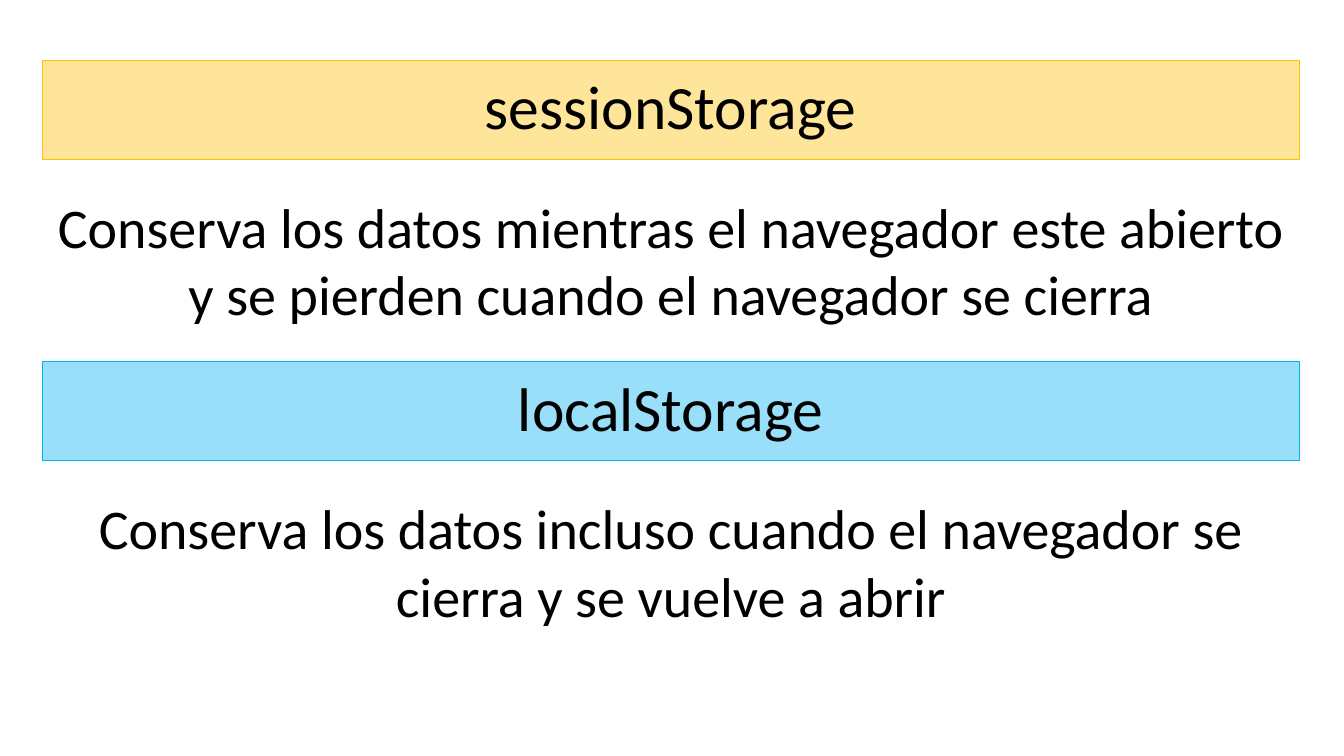
"""Builds a slide that compares sessionStorage and localStorage."""
from pptx import Presentation
from pptx.dml.color import RGBColor
from pptx.enum.shapes import MSO_SHAPE as Shape
from pptx.enum.text import MSO_ANCHOR as Anchor, MSO_AUTO_SIZE as AutoSize, PP_ALIGN as Align
from pptx.oxml.ns import qn
from pptx.util import Pt
from lxml.etree import SubElement

BLACK = RGBColor(0x00, 0x00, 0x00)
AMBER = RGBColor(0xFF, 0xC0, 0x00)
SKY = RGBColor(0x00, 0xB0, 0xF0)

LEFT, WIDTH = 30.24, 897.84
FIRST_TOP, SECTION_PITCH = 43.2, 215.28
BANNER_HEIGHT = 70.56
TEXT_OFFSET, TEXT_HEIGHT = 90.72, 104.4

SECTIONS = [
    ("sessionStorage", AMBER,
     "Conserva los datos mientras el navegador este abierto "
     "y se pierden cuando el navegador se cierra"),
    ("localStorage", SKY,
     "Conserva los datos incluso cuando el navegador se cierra "
     "y se vuelve a abrir"),
]


def write(box, text, size, font="Calibri", color=BLACK, align=Align.CENTER,
          anchor=Anchor.TOP, spacing=1.0):
    frame = box.text_frame
    frame.word_wrap = True
    frame.auto_size = AutoSize.NONE
    frame.vertical_anchor = anchor
    para = frame.paragraphs[0]
    para.alignment = align
    para.line_spacing = spacing
    span = para.add_run()
    span.text = text
    span.font.name = font
    span.font.size = Pt(size)
    span.font.color.rgb = color


class Painter:
    def __init__(self, page, banner_size=44, text_size=40, opacity=40):
        self.page = page
        self.banner_size = banner_size
        self.text_size = text_size
        self.opacity = opacity

    def title(self, text, top, color):
        box = self.page.shapes.title
        box.left, box.top = Pt(LEFT), Pt(top)
        box.width, box.height = Pt(WIDTH), Pt(BANNER_HEIGHT)
        self.style_banner(box, text, color)

    def banner(self, text, top, color):
        box = self.page.shapes.add_shape(
            Shape.RECTANGLE, Pt(LEFT), Pt(top), Pt(WIDTH), Pt(BANNER_HEIGHT))
        box.shadow.inherit = False
        self.style_banner(box, text, color)

    def style_banner(self, box, text, color):
        box.fill.solid()
        box.fill.fore_color.rgb = color
        tint = box._element.spPr.find(qn("a:solidFill"))[0]
        SubElement(tint, qn("a:alpha"), val=str(self.opacity * 1000))
        box.line.color.rgb = color
        box.line.width = Pt(0.75)
        write(box, text, self.banner_size, anchor=Anchor.MIDDLE, spacing=0.9)

    def description(self, text, top):
        box = self.page.shapes.add_textbox(
            Pt(LEFT), Pt(top), Pt(WIDTH), Pt(TEXT_HEIGHT))
        write(box, text, self.text_size)


def main():
    deck = Presentation()
    deck.slide_width, deck.slide_height = Pt(960), Pt(540)
    painter = Painter(deck.slides.add_slide(deck.slide_layouts[5]))
    for index, (heading, color, description) in enumerate(SECTIONS):
        top = FIRST_TOP + index * SECTION_PITCH
        add_heading = painter.banner if index else painter.title
        add_heading(heading, top, color)
        painter.description(description, top + TEXT_OFFSET)
    deck.save("out.pptx")


if __name__ == "__main__":
    main()
